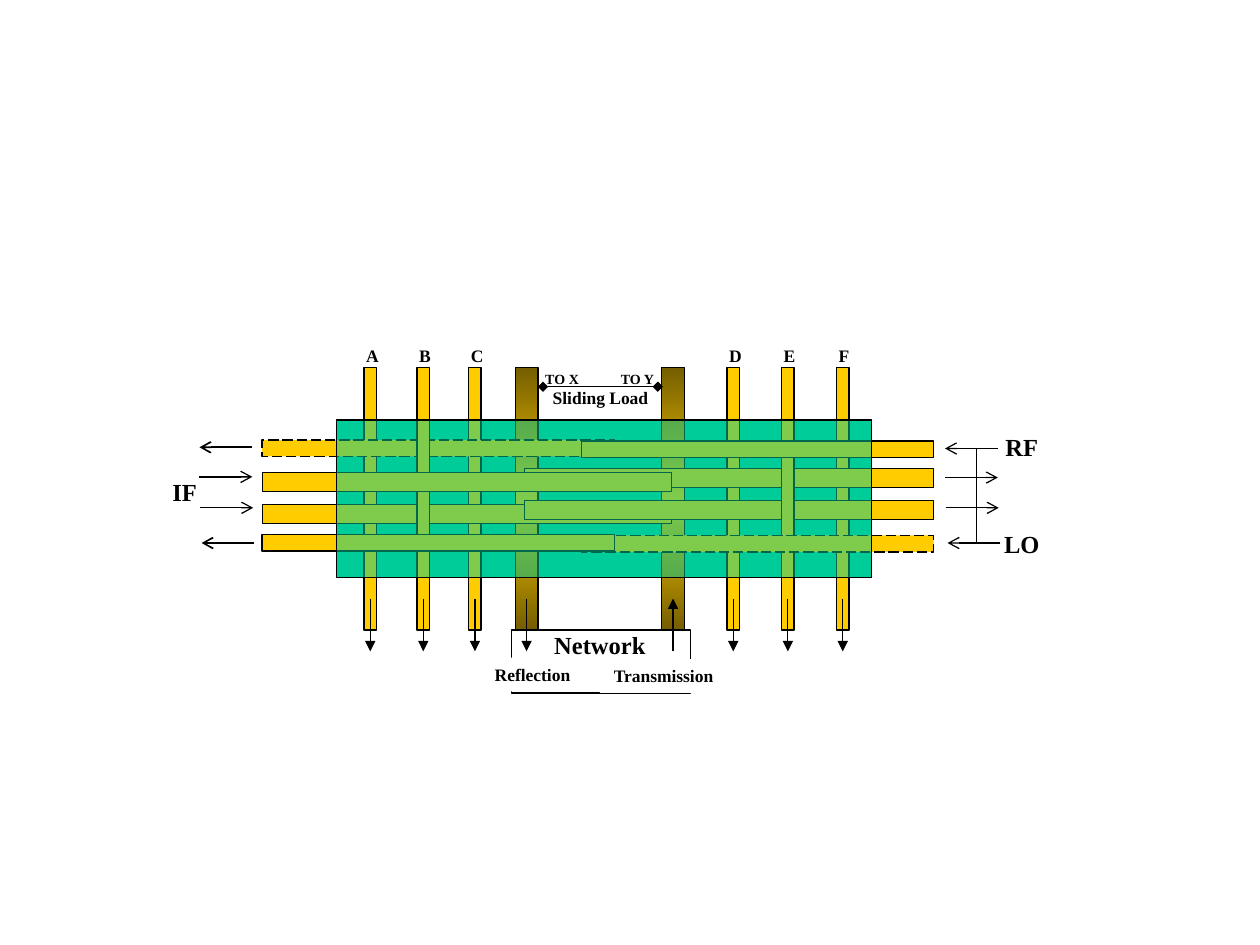
from collections import namedtuple

from lxml import etree
from pptx import Presentation
from pptx.dml.color import RGBColor
from pptx.enum.dml import MSO_LINE
from pptx.enum.shapes import MSO_CONNECTOR, MSO_SHAPE
from pptx.enum.text import MSO_ANCHOR, MSO_AUTO_SIZE, PP_ALIGN
from pptx.oxml.ns import qn
from pptx.util import Pt

RECTANGLE = MSO_SHAPE.RECTANGLE
STRAIGHT = MSO_CONNECTOR.STRAIGHT
LONG_DASH = MSO_LINE.LONG_DASH
LEFT, CENTER = PP_ALIGN.LEFT, PP_ALIGN.CENTER

COLORS = {"ink": "000000", "paper": "FFFFFF", "board": "00CC99",
          "strip": "FFCC00", "shade": "755E00"}
FONT = "Times New Roman"
PIN_CENTERS = {"A": 19.4, "B": 49.7, "C": 79.2, "X": 108.7,
               "Y": 192.4, "D": 226.8, "E": 258, "F": 289.4}
LOAD_PINS = "XY"

Box = namedtuple("Box", "left top width height")


def color(name):
    """Return the named colour."""
    return RGBColor.from_string(COLORS[name])


def inside(box, left, top, width, height):
    """Return a box whose position is measured from the corner of another."""
    return Box(box.left + left, box.top + top, width, height)


def add_rectangle(slide, box, fill=None, outlined=True, dash=None):
    """Add a flat rectangle with an optional fill and outline."""
    shape = slide.shapes.add_shape(RECTANGLE, *map(Pt, box))
    shape.shadow.inherit = False
    if fill:
        shape.fill.solid()
        shape.fill.fore_color.rgb = color(fill)
    else:
        shape.fill.background()
    if outlined:
        shape.line.color.rgb = color("ink")
        shape.line.width = Pt(0.75)
        if dash:
            shape.line.dash_style = dash
    else:
        shape.line.fill.background()
    return shape


def add_line(slide, box, start, end, head=None, tail=None, width=0.75):
    """Add a line between two points of a box, with optional arrowheads."""
    points = (box.left + start[0], box.top + start[1],
              box.left + end[0], box.top + end[1])
    connector = slide.shapes.add_connector(STRAIGHT, *map(Pt, points))
    connector.line.color.rgb = color("ink")
    connector.line.width = Pt(width)
    properties = connector._element.spPr
    line = properties.find(qn("a:ln"))
    for tag, kind in (("a:headEnd", head), ("a:tailEnd", tail)):
        if kind:
            etree.SubElement(line, qn(tag), type=kind)
    etree.SubElement(properties, qn("a:effectLst"))


def write(shape, text, size, alignment, wrap=True):
    """Write one bold line of text into a shape."""
    frame = shape.text_frame
    frame.word_wrap = wrap
    frame.auto_size = MSO_AUTO_SIZE.SHAPE_TO_FIT_TEXT
    frame.vertical_anchor = MSO_ANCHOR.TOP
    paragraph = frame.paragraphs[0]
    paragraph.alignment = alignment
    run = paragraph.add_run()
    run.text = text
    run.font.name = FONT
    run.font.size = Pt(size)
    run.font.bold = True
    run.font.color.rgb = color("ink")


def add_label(slide, box, text, size, alignment=CENTER, wrap=True):
    """Add a text box with one bold label."""
    write(slide.shapes.add_textbox(*map(Pt, box)), text, size, alignment, wrap)


def add_pin(slide, board, name):
    """Add a vertical pin across the board, shaded when it carries the load."""
    width = 13 if name in LOAD_PINS else 7.2
    box = inside(board, PIN_CENTERS[name] - width / 2, -30, width, 150)
    shape = add_rectangle(slide, box, "strip")
    if name in LOAD_PINS:
        shape.fill.gradient()
        shape.fill.gradient_angle = 90
        stops = shape._element.spPr.find(qn("a:gradFill")).find(qn("a:gsLst"))
        for stop in list(stops):
            stops.remove(stop)
        for position, shade in ((0, "shade"), (50000, "strip"), (100000, "shade")):
            stop = etree.SubElement(stops, qn("a:gs"), pos=str(position))
            etree.SubElement(stop, qn("a:srgbClr"), val=COLORS[shade])


def add_strip(slide, board, side, top, length, height, dash=None):
    """Add a horizontal strip that sticks out on one side of the board."""
    left = -42.4 if side == "left" else 341.4 - length
    add_rectangle(slide, inside(board, left, top, length, height), "strip", dash=dash)


def add_board(slide, board):
    """Add the board with its woven pins and strips under a clear cover."""
    long, short = (234, 10.8), (201.2, 9.4)
    add_rectangle(slide, board, "board")
    for layer in ("A", "X", "D", "F", "Y", ("right", 27.9, *long), "C",
                  ("left", 48.2, *long), ("left", 11.5, *short, LONG_DASH), "B",
                  ("left", 30.2, *long), ("right", 46.1, *long), "E",
                  ("right", 12, *short), ("right", 66, *short, LONG_DASH),
                  ("left", 65.5, *short)):
        if isinstance(layer, str):
            add_pin(slide, board, layer)
        else:
            add_strip(slide, board, *layer)
    cover = add_rectangle(slide, board, "board")
    fill = cover._element.spPr.find(qn("a:solidFill"))
    etree.SubElement(fill[0], qn("a:alpha"), val="50000")


def add_ports(slide, box, arrows, labels):
    """Add a column of signal arrows with their labels."""
    for left, top, direction, width in arrows:
        ends = ((left, top), (left + box.width, top))
        start, end = ends if direction == "right" else ends[::-1]
        add_line(slide, box, start, end, tail="arrow", width=width)
    for text, left, top, width, alignment in labels:
        add_label(slide, inside(box, left, top, width, 24.5), text, 14, alignment)


def add_pin_marks(slide, board):
    """Add the flow arrow of every pin and the letters above the plain ones."""
    for name, center in PIN_CENTERS.items():
        ends = ((center, 102), (center, 132.2))
        start, end = ends[::-1] if name == "Y" else ends
        add_line(slide, board, start, end, tail="triangle")
        if name not in LOAD_PINS:
            box = inside(board, center - 9.4, -46.3, 21.6, 19.4)
            add_label(slide, box, name, 10, LEFT, wrap=False)


def add_network(slide, box):
    """Add the network frame with its two port names."""
    add_label(slide, inside(box, -6.5, -3.6, 113.8, 24.5), "Network", 14)
    add_rectangle(slide, box)
    for text, left, top, width in (("Reflection", -19.4, 15.8, 62.6),
                                   ("Transmission", 50.4, 16.6, 72.7)):
        tag = add_rectangle(slide, inside(box, left, top, width, 19.4),
                            "paper", outlined=False)
        write(tag, text, 10, CENTER)


def add_sliding_load(slide, box):
    """Add the span between the load pins with its names."""
    add_line(slide, box, (0, 11), (box.width, 11), head="diamond", tail="diamond")
    add_label(slide, inside(box, -12.2, 7.4, 90, 19.4), "Sliding Load", 10)
    for text, left in (("TO X", -5.8), ("TO Y", 37.4)):
        add_label(slide, inside(box, left, -2, 33.8, 17.3), text, 8, LEFT, wrap=False)


def main():
    """Build the slide and save it."""
    presentation = Presentation()
    presentation.slide_width, presentation.slide_height = Pt(720), Pt(540)
    slide = presentation.slides.add_slide(presentation.slide_layouts[6])
    board = Box(192.2, 240, 306, 90)
    right_ports = Box(540, 256.3, 30.2, 54)
    add_board(slide, board)
    add_ports(slide, right_ports,
              ((0, 0, "left", 0.75), (0, 16.6, "right", 0.75),
               (0.5, 33.9, "right", 0.75), (1.5, 54, "left", 0.75)),
              (("RF", 23, -13, 41.8, CENTER), ("LO", 23, 42.5, 41.8, CENTER)))
    add_ports(slide, Box(114, 255.6, 30.2, 54.7),
              ((0, 0, "left", 1), (0, 16.9, "right", 0.75),
               (0.5, 34.6, "right", 0.75), (1.2, 54.7, "left", 1)),
              (("IF", -22.6, 13.7, 30.2, LEFT),))
    add_pin_marks(slide, board)
    add_network(slide, Box(292.4, 360, 102.2, 36))
    add_sliding_load(slide, Box(310.3, 210, 65.6, 26))
    add_line(slide, right_ports, (18, 0), (18, 54))
    presentation.save("out.pptx")


if __name__ == "__main__":
    main()
